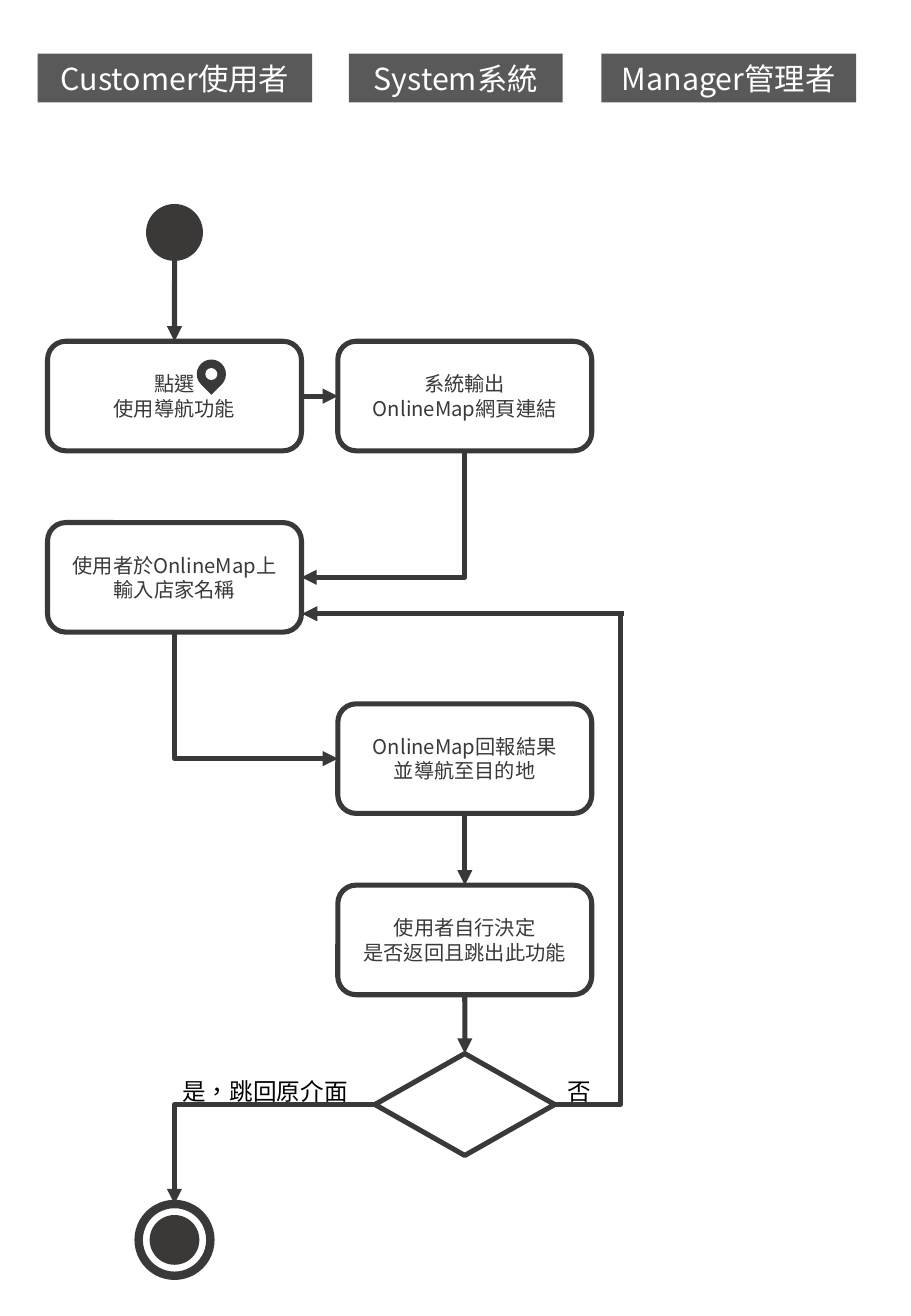
from dataclasses import dataclass
from lxml.etree import SubElement
from pptx import Presentation
from pptx.dml.color import RGBColor
from pptx.enum.shapes import MSO_CONNECTOR, MSO_SHAPE
from pptx.enum.text import MSO_ANCHOR, PP_ALIGN
from pptx.oxml.ns import qn
from pptx.util import Cm, Pt


@dataclass
class Theme:
    ink = RGBColor(0x3B, 0x38, 0x38)
    bar = RGBColor(0x59, 0x59, 0x59)
    white = RGBColor(0xFF, 0xFF, 0xFF)
    black = RGBColor(0, 0, 0)
    head_font = "Noto Sans CJK TC"
    body_font = "Noto Sans CJK SC"
    head = Pt(18)
    label = Pt(14)
    body = Pt(12)
    stroke = Pt(3)
    ring = Pt(5)


theme = Theme()
TOP, LEFT, BOTTOM, RIGHT = range(4)
USER_X, SYSTEM_X = 3.65, 9.72
ROW_Y, ROW_STEP = 8.28, 3.79
DECISION_Y, END_Y = 23.09, 25.92
LOOP_X, LOOP_Y = 12.98, 12.83

prs = Presentation()
prs.slide_width, prs.slide_height = Cm(19.05), Cm(27.51)
s = prs.slides.add_slide(prs.slide_layouts[6])


def add_node(kind, cx, cy, w, h, fill=None, line=None, width=theme.stroke):
    sp = s.shapes.add_shape(kind, Cm(cx - w / 2), Cm(cy - h / 2), Cm(w), Cm(h))
    sp.shadow.inherit = False
    if fill is None:
        sp.fill.background()
    else:
        sp.fill.solid()
        sp.fill.fore_color.rgb = fill
    if line is None:
        sp.line.fill.background()
    else:
        sp.line.color.rgb = line
        sp.line.width = width
    return sp


def add_text(sp, text, font, size, color, align=PP_ALIGN.CENTER, wrap=True):
    tf = sp.text_frame
    tf.text = text
    tf.word_wrap = wrap
    tf.vertical_anchor = MSO_ANCHOR.MIDDLE
    for p in tf.paragraphs:
        p.alignment = align
        for r in p.runs:
            r.font.name = font
            r.font.size = size
            r.font.color.rgb = color
            rPr = r.font._element
            rPr.set("lang", "zh-TW")
            SubElement(rPr, qn("a:ea")).set("typeface", font)


for text, cx, w in [
    ("Customer使用者", 3.66, 5.74),
    ("System系統", 9.53, 4.47),
    ("Manager管理者", 15.24, 5.33),
]:
    sp = add_node(MSO_SHAPE.RECTANGLE, cx, 1.63, w, 1.02, fill=theme.bar)
    add_text(sp, text, theme.head_font, theme.head, theme.white, wrap=False)

steps = {}
for name, text, cx, row in [
    ("select", "點選\n使用導航功能", USER_X, 0),
    ("link", "系統輸出\nOnlineMap網頁連結", SYSTEM_X, 0),
    ("input", "使用者於OnlineMap上\n輸入店家名稱", USER_X, 1),
    ("route", "OnlineMap回報結果\n並導航至目的地", SYSTEM_X, 2),
    ("choose", "使用者自行決定\n是否返回且跳出此功能", SYSTEM_X, 3),
]:
    sp = add_node(MSO_SHAPE.ROUNDED_RECTANGLE, cx, ROW_Y + row * ROW_STEP, 5.31, 2.29, line=theme.ink)
    add_text(sp, text, theme.body_font, theme.body, theme.ink)
    steps[name] = sp

add_node(MSO_SHAPE.OVAL, USER_X, 4.86, 1.19, 1.19, fill=theme.ink)
steps["decision"] = add_node(MSO_SHAPE.DIAMOND, SYSTEM_X, DECISION_Y, 3.76, 2.13, line=theme.ink)
steps["end"] = add_node(MSO_SHAPE.OVAL, USER_X, END_Y, 1.5, 1.5, line=theme.ink, width=theme.ring)
add_node(MSO_SHAPE.OVAL, USER_X, END_Y, 1.04, 1.04, fill=theme.ink)

pin = add_node(MSO_SHAPE.TEAR, 4.42, 7.82, 0.61, 0.61, fill=theme.ink)
pin.rotation = 135
add_node(MSO_SHAPE.OVAL, 4.42, 7.82, 0.25, 0.25, fill=theme.white)

for begin, end, bent, arrow in [
    ((USER_X, 5.45), ("select", TOP), False, "tailEnd"),
    (("select", RIGHT), ("link", LEFT), False, "tailEnd"),
    (("input", RIGHT), ("link", BOTTOM), True, "headEnd"),
    (("route", LEFT), ("input", BOTTOM), True, "headEnd"),
    (("route", BOTTOM), ("choose", TOP), False, "tailEnd"),
    (("choose", BOTTOM), ("decision", TOP), False, "tailEnd"),
    (("decision", LEFT), ("end", TOP), True, "tailEnd"),
    (("decision", RIGHT), (LOOP_X, LOOP_Y), True, None),
    ((LOOP_X + 0.07, LOOP_Y), (6.32, LOOP_Y), False, "tailEnd"),
]:
    points = [Cm(v) for pt in (begin, end) for v in (pt if pt[0] not in steps else (0, 0))]
    kind = MSO_CONNECTOR.ELBOW if bent else MSO_CONNECTOR.STRAIGHT
    cxn = s.shapes.add_connector(kind, *points)
    if begin[0] in steps:
        cxn.begin_connect(steps[begin[0]], begin[1])
    if end[0] in steps:
        cxn.end_connect(steps[end[0]], end[1])
    cxn.line.color.rgb = theme.ink
    cxn.line.width = theme.stroke
    spPr = cxn._element.spPr
    if bent:
        spPr.find(qn("a:prstGeom")).set("prst", "bentConnector2")
    if arrow:
        SubElement(spPr.find(qn("a:ln")), qn(f"a:{arrow}")).set("type", "triangle")
    SubElement(spPr, qn("a:effectLst"))

for text, left, w in [("是，跳回原介面", 3.56, 4.01), ("否", 11.61, 1.02)]:
    sp = s.shapes.add_textbox(Cm(left), Cm(22.38), Cm(w), Cm(0.86))
    add_text(sp, text, theme.body_font, theme.label, theme.black, PP_ALIGN.LEFT, wrap=False)

prs.save("out.pptx")
